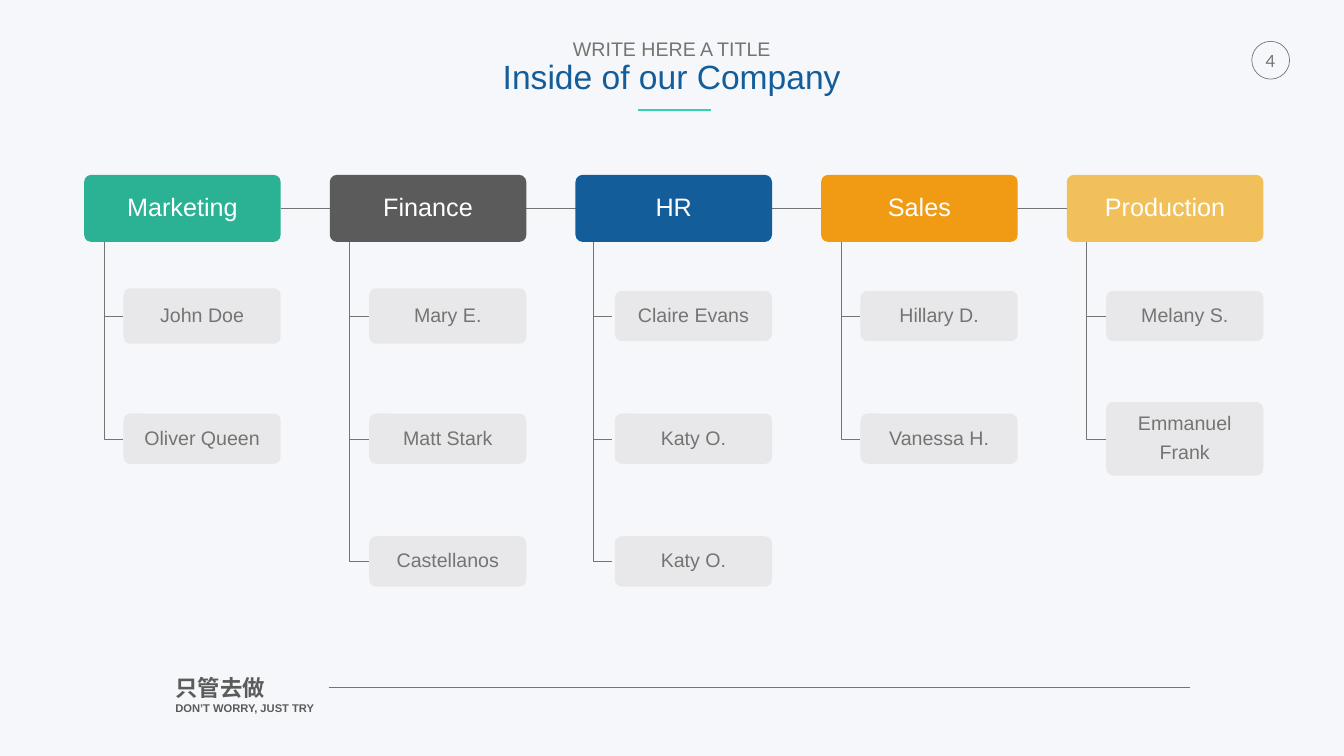
"""Build an organisation chart slide with five departments and their members."""
import pptx
import pptx.dml.color
import pptx.enum.shapes
import pptx.enum.text
import pptx.oxml
import pptx.oxml.ns
import pptx.util

WIDTH, HEIGHT = 26.67, 15
UNIT = 0.39
LEFT, PITCH = 1.67, 12.5 * UNIT
HEAD_Y, HEAD_W, HEAD_H = 3.47, 10 * UNIT, 1.33
ROW_Y, ROW_PITCH = 6.27, 2.435
RADIUS = 0.14
GREY, DARK, BLUE, TEAL = "737572", "5B5B5B", "135D9A", "33D1AD"

DEPARTMENTS = [
    ("Marketing", "2BB294", ["John Doe", "Oliver Queen"]),
    ("Finance", DARK, ["Mary E.", "Matt Stark", "Castellanos"]),
    ("HR", BLUE, ["Claire Evans", "Katy O.", "Katy O."]),
    ("Sales", "F19A14", ["Hillary D.", "Vanessa H."]),
    ("Production", "F1C05A", ["Melany S.", "Emmanuel\nFrank"]),
]
TALL_BOXES = {"John Doe": 1.1, "Mary E.": 1.1, "Emmanuel\nFrank": 1.46}
STEM_SHIFT = {"HR": -0.05}


def inches(*values):
    """Convert lengths in inches to EMU."""
    return [pptx.util.Inches(v) for v in values]


def paint(color_format, color):
    """Set a fill's or font's colour from a hex string."""
    if hasattr(color_format, "solid"):
        color_format.solid()
        color_format = color_format.fore_color
    color_format.rgb = pptx.dml.color.RGBColor.from_string(color)


def set_line(sp, color, width):
    """Give a shape or connector a plain coloured line."""
    paint(sp.line.fill, color)
    sp.line.width = pptx.util.Pt(width)


def write(sp, text, sizes, colors, font="Arial", bold=False, align="CENTER",
          anchor="TOP", inset=0.05, wrap=True, spacing=1.0, gap=0):
    """Write one paragraph per line of text, with a size and colour for each."""
    tf = sp.text_frame
    tf.word_wrap = wrap
    tf.vertical_anchor = getattr(pptx.enum.text.MSO_ANCHOR, anchor)
    tf.margin_left = tf.margin_right = pptx.util.Inches(inset)
    tf.margin_top = tf.margin_bottom = pptx.util.Inches(inset)
    for i, line in enumerate(text.split("\n")):
        p = tf.add_paragraph() if i else tf.paragraphs[0]
        p.alignment = getattr(pptx.enum.text.PP_ALIGN, align)
        p.line_spacing = spacing
        if i and gap:
            p.space_before = pptx.util.Pt(gap)
        r = p.add_run()
        r.text = line
        r.font.name = font
        r.font.bold = bold
        r.font.size = pptx.util.Pt(sizes[i % len(sizes)])
        paint(r.font.fill, colors[i % len(colors)])


def add_text(s, x, y, w, h, text, **fmt):
    """Add a text box."""
    write(s.shapes.add_textbox(*inches(x, y, w, h)), text, **fmt)


def add_line(s, x1, x2, y, color, width):
    """Add a horizontal line without a shadow."""
    sp = s.shapes.add_connector(
        pptx.enum.shapes.MSO_CONNECTOR.STRAIGHT, *inches(x1, y, x2, y))
    set_line(sp, color, width)
    pptx.oxml.ns.qn("a:effectLst")
    sp._element.spPr.append(pptx.oxml.parse_xml(
        "<a:effectLst %s/>" % pptx.oxml.ns.nsdecls("a")))


def add_box(s, x, y, w, h, text, fill, size, color, alpha=None):
    """Add a rounded box with centred text and an optional opacity in percent."""
    sp = s.shapes.add_shape(
        pptx.enum.shapes.MSO_SHAPE.ROUNDED_RECTANGLE, *inches(x, y, w, h))
    sp.shadow.inherit = False
    sp.adjustments[0] = RADIUS / h
    sp.line.fill.background()
    paint(sp.fill, fill)
    if alpha:
        clr = sp._element.spPr.find(".//" + pptx.oxml.ns.qn("a:srgbClr"))
        clr.append(pptx.oxml.parse_xml('<a:alpha %s val="%d"/>' % (
            pptx.oxml.ns.nsdecls("a"), alpha * 1000)))
    write(sp, text, [size], [color], anchor="MIDDLE", inset=0.11,
          spacing=0.9, gap=11)


def add_elbow(s, x, y1, y2):
    """Add a stem that goes down from y1 to y2 and turns right."""
    fb = s.shapes.build_freeform(*inches(x, y1))
    fb.add_line_segments([inches(x, y2), inches(x + UNIT, y2)], close=False)
    sp = fb.convert_to_shape()
    sp.shadow.inherit = False
    sp.fill.background()
    set_line(sp, GREY, 0.25)


def add_department(s, column, name, color, members):
    """Add a department's heading with its members below."""
    x = LEFT + column * PITCH
    add_box(s, x, HEAD_Y, HEAD_W, HEAD_H, name, color, 36, "FFFFFF")
    for row, member in enumerate(members):
        y = ROW_Y + row * ROW_PITCH
        h = TALL_BOXES.get(member, 1)
        add_elbow(s, x + UNIT + STEM_SHIFT.get(name, 0), HEAD_Y + HEAD_H, y)
        add_box(s, x + 2 * UNIT, y - h / 2, 8 * UNIT, h, member,
                "D9D9D9", 28, GREY, alpha=48)


def add_frame(s):
    """Add the title, page number and footer."""
    add_text(s, 9.92, 0.74, 6.82, 1.33,
             "WRITE HERE A TITLE\nInside of our Company",
             sizes=[28, 48], colors=[GREY, BLUE], wrap=False, spacing=0.9)
    add_line(s, 12.67, 14.11, 2.18, TEAL, 3)
    sp = s.shapes.add_shape(
        pptx.enum.shapes.MSO_SHAPE.OVAL, *inches(24.84, 0.82, 0.75, 0.75))
    sp.shadow.inherit = False
    sp.fill.background()
    set_line(sp, GREY, 1)
    add_text(s, 25.01, 0.9, 0.4, 0.6, "4", sizes=[24], colors=[GREY],
             font="Lato", inset=0.1, wrap=False)
    add_text(s, 3.43, 13.33, 3.99, 0.99, "只管去做\nDON’T WORRY, JUST TRY",
             sizes=[32, 16], colors=[DARK], bold=True, align="LEFT")
    add_line(s, 6.52, 23.62, 13.64, GREY, 0.25)


def main():
    """Build and save the slide."""
    prs = pptx.Presentation()
    prs.slide_width, prs.slide_height = inches(WIDTH, HEIGHT)
    s = prs.slides.add_slide(prs.slide_layouts[6])
    paint(s.background.fill, "F6F7FA")
    add_frame(s)
    add_line(s, LEFT + HEAD_W, LEFT + 4 * PITCH, HEAD_Y + HEAD_H / 2, GREY, 1)
    for column, department in enumerate(DEPARTMENTS):
        add_department(s, column, *department)
    prs.save("out.pptx")


if __name__ == "__main__":
    main()
